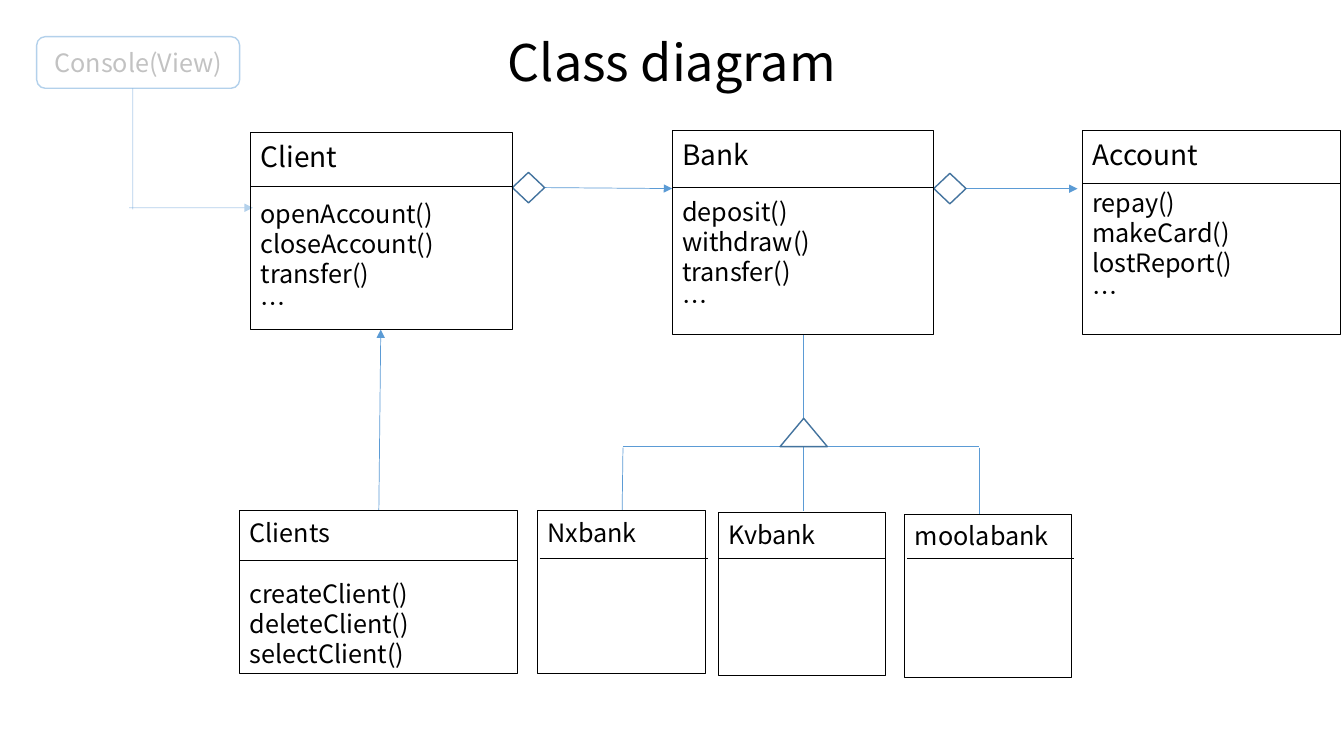
from lxml.etree import SubElement
from pptx import Presentation
from pptx.dml.color import RGBColor
from pptx.enum.shapes import MSO_CONNECTOR as Link, MSO_SHAPE as Preset
from pptx.enum.text import MSO_ANCHOR as Anchor, PP_ALIGN as Align
from pptx.oxml.ns import qn
from pptx.util import Pt

FONT = "Noto Sans CJK KR"
COLORS = {"ink": "000000", "paper": "FFFFFF", "link": "5B9BD5", "symbol": "43739E"}
METHOD_SIZE, METHOD_PITCH = 18, 21.4

# Classes: name, name size, methods, gap above methods, box, divider start and height
CLASSES = [
    ("Bank", 20, ["deposit()", "withdraw()", "transfer()", "…"], 18.6,
     (480.1, 93.4, 187, 145.6), (480.1, 133.8)),
    ("Account", 20, ["repay()", "makeCard()", "lostReport()", "…"], 12.2,
     (773.2, 93.4, 184.4, 145.6), (773.2, 131)),
    ("Client", 20, ["openAccount()", "closeAccount()", "transfer()", "…"], 18.6,
     (179, 94.8, 187, 140.4), (179, 133.2)),
    ("Clients", 18, ["createClient()", "deleteClient()", "selectClient()"], 22.2,
     (171.2, 365, 198.6, 116.4), (171.2, 400.2)),
    ("Nxbank", 18, [], 0, (383.8, 365, 120.4, 116.4), (385.4, 398.8)),
    ("Kvbank", 18, [], 0, (513.2, 366.4, 119.2, 116.4), (513.2, 398.8)),
    ("moolabank", 18, [], 0, (646.4, 367.4, 119.2, 116.4), (648, 398.8)),
]

# Links: start, end, has arrowhead, opacity in percent
LINKS = [
    ((689.8, 134.8), (769.7, 134.8), True, 100),   # Bank to Account
    ((388.8, 134), (480.1, 134.7), True, 100),     # Client to Bank
    ((270.6, 365), (272, 235.4), True, 100),       # Clients to Client
    ((445, 319), (699.2, 319), False, 100),        # inheritance bar
    ((573.8, 319), (573.8, 365), False, 100),
    ((573.8, 298.8), (573.8, 239), False, 100),
    ((699.8, 319.7), (699.8, 367.2), False, 100),
    ((444.4, 365), (445, 319.7), False, 100),
    ((94.9, 63.2), (94.9, 149.6), False, 46),      # Console to Client
    ((92.2, 148.4), (180.6, 148.4), True, 46),
]

SYMBOLS = [
    (Preset.DIAMOND, (667, 123.8, 23, 21.8)),
    (Preset.DIAMOND, (366, 123.1, 23, 21.8)),
    (Preset.ISOSCELES_TRIANGLE, (557.2, 298.8, 33.8, 20.2)),
]

# Labels: text, size, preset, box, fill, line, line opacity, text opacity
LABELS = [
    ("Console(View)", 18, Preset.ROUNDED_RECTANGLE, (26.2, 26.2, 145, 36.9), None, "link", 46, 23),
    ("Class diagram", 36, Preset.RECTANGLE, (236.2, 25.2, 487.4, 36.7), "paper", None, 100, 100),
]


def paint(fill, color, opacity=100):
    fill.solid()
    fill.fore_color.rgb = RGBColor.from_string(COLORS[color])
    if opacity < 100:
        tint = fill._xPr.find(qn("a:solidFill"))[0]
        SubElement(tint, qn("a:alpha")).set("val", str(opacity * 1000))


def add_box(preset, place, fill=None, line=None, width=1, opacity=100):
    box = page.shapes.add_shape(preset, *map(Pt, place))
    box.shadow.inherit = False
    if fill:
        paint(box.fill, fill)
    else:
        box.fill.background()
    if line:
        box.line.width = Pt(width)
        paint(box.line.fill, line, opacity)
    else:
        box.line.fill.background()
    return box


def add_line(start, end, color, arrow=False, opacity=100):
    line = page.shapes.add_connector(Link.STRAIGHT, *map(Pt, start + end))
    line.line.width = Pt(0.5)
    paint(line.line.fill, color, opacity)
    if arrow:
        SubElement(line.line._get_or_add_ln(), qn("a:tailEnd")).set("type", "triangle")
    SubElement(line._element.spPr, qn("a:effectLst"))


def write(para, text, size, align, opacity=100):
    para.alignment = align
    span = para.add_run()
    span.text = text
    span.font.name, span.font.size = FONT, Pt(size)
    paint(span.font.fill, "ink", opacity)


deck = Presentation()
deck.slide_width, deck.slide_height = Pt(960), Pt(540)
page = deck.slides.add_slide(deck.slide_layouts[6])

# Links, then the symbols that sit on them
for start, end, arrow, opacity in LINKS:
    add_line(start, end, "link", arrow, opacity)
for preset, place in SYMBOLS:
    add_box(preset, place, "paper", "symbol")

# Class boxes with dividers
for name, size, methods, gap, place, divider in CLASSES:
    box = add_box(Preset.RECTANGLE, place, line="ink", width=0.75)
    frame = box.text_frame
    frame.word_wrap, frame.vertical_anchor = True, Anchor.TOP
    head = frame.paragraphs[0]
    write(head, name, size, Align.LEFT)
    head.line_spacing = Pt(size * 1.25)
    for index, method in enumerate(methods):
        para = frame.add_paragraph()
        write(para, method, METHOD_SIZE, Align.LEFT)
        para.line_spacing = Pt(METHOD_PITCH)
        para.space_before = Pt(0 if index else gap)
    left, top = divider
    add_line(divider, (left + place[2], top), "ink")

# Title and console
for text, size, preset, place, fill, line, line_opacity, text_opacity in LABELS:
    box = add_box(preset, place, fill, line, opacity=line_opacity)
    frame = box.text_frame
    frame.word_wrap, frame.vertical_anchor = True, Anchor.MIDDLE
    write(frame.paragraphs[0], text, size, Align.CENTER, text_opacity)

deck.save("out.pptx")
